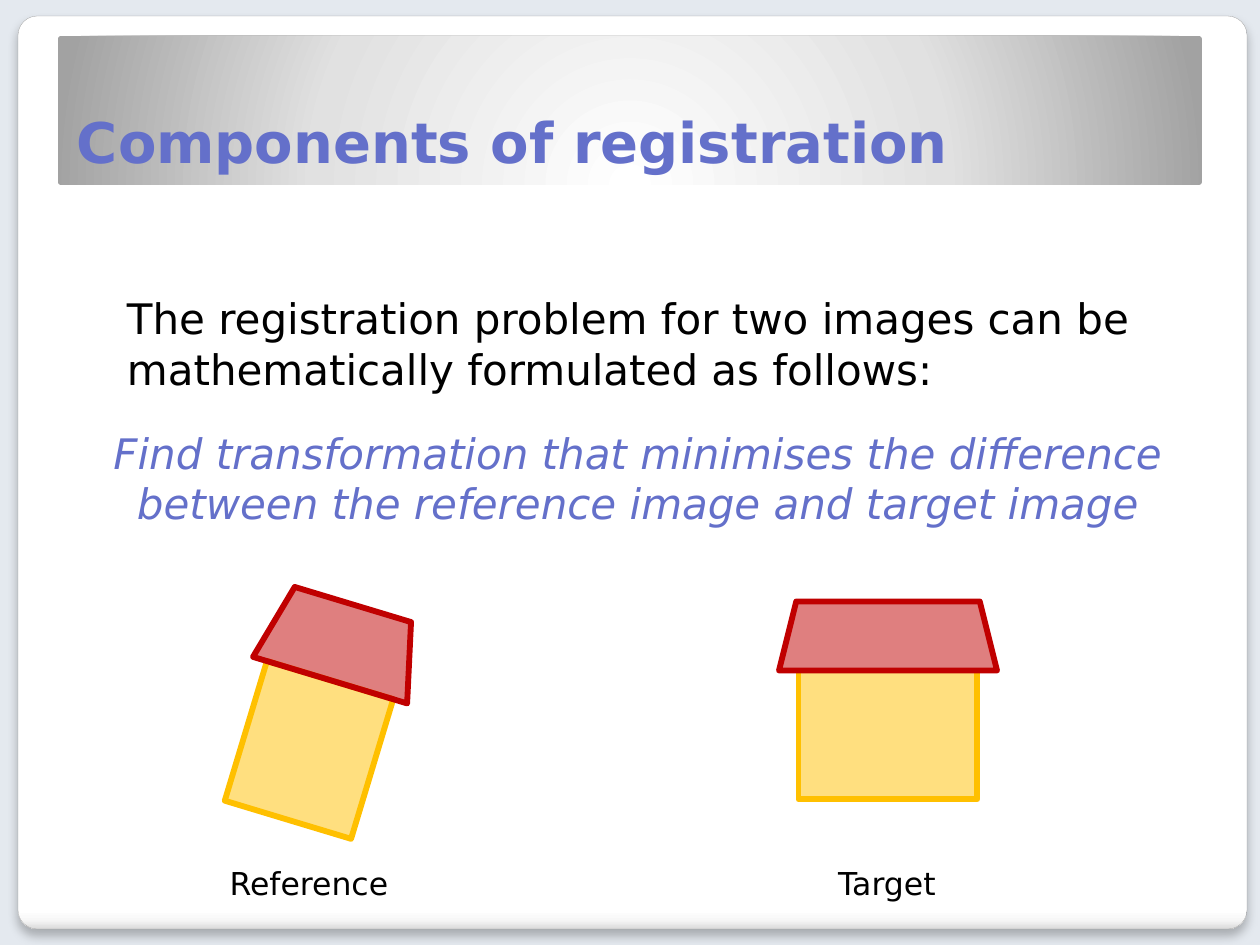
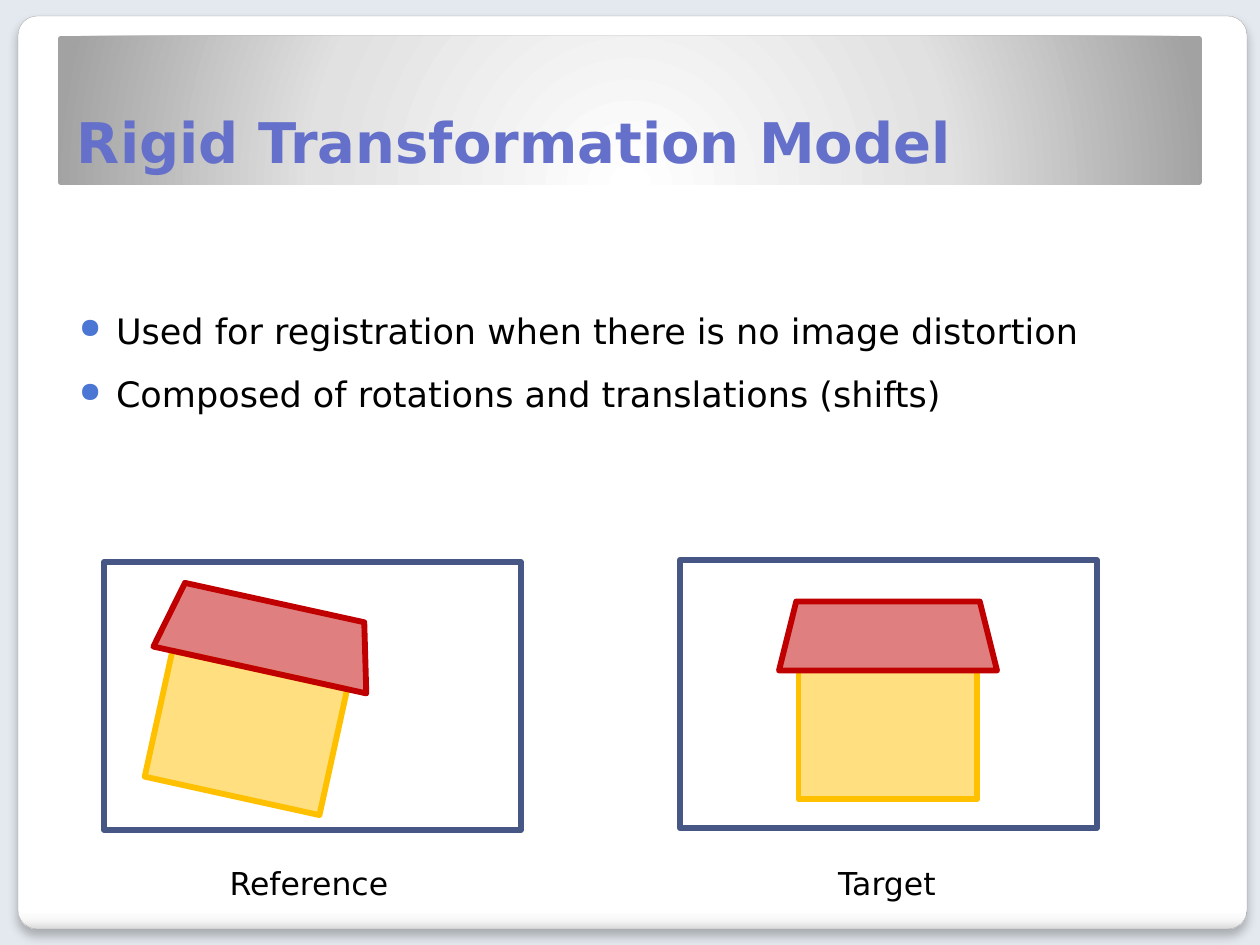
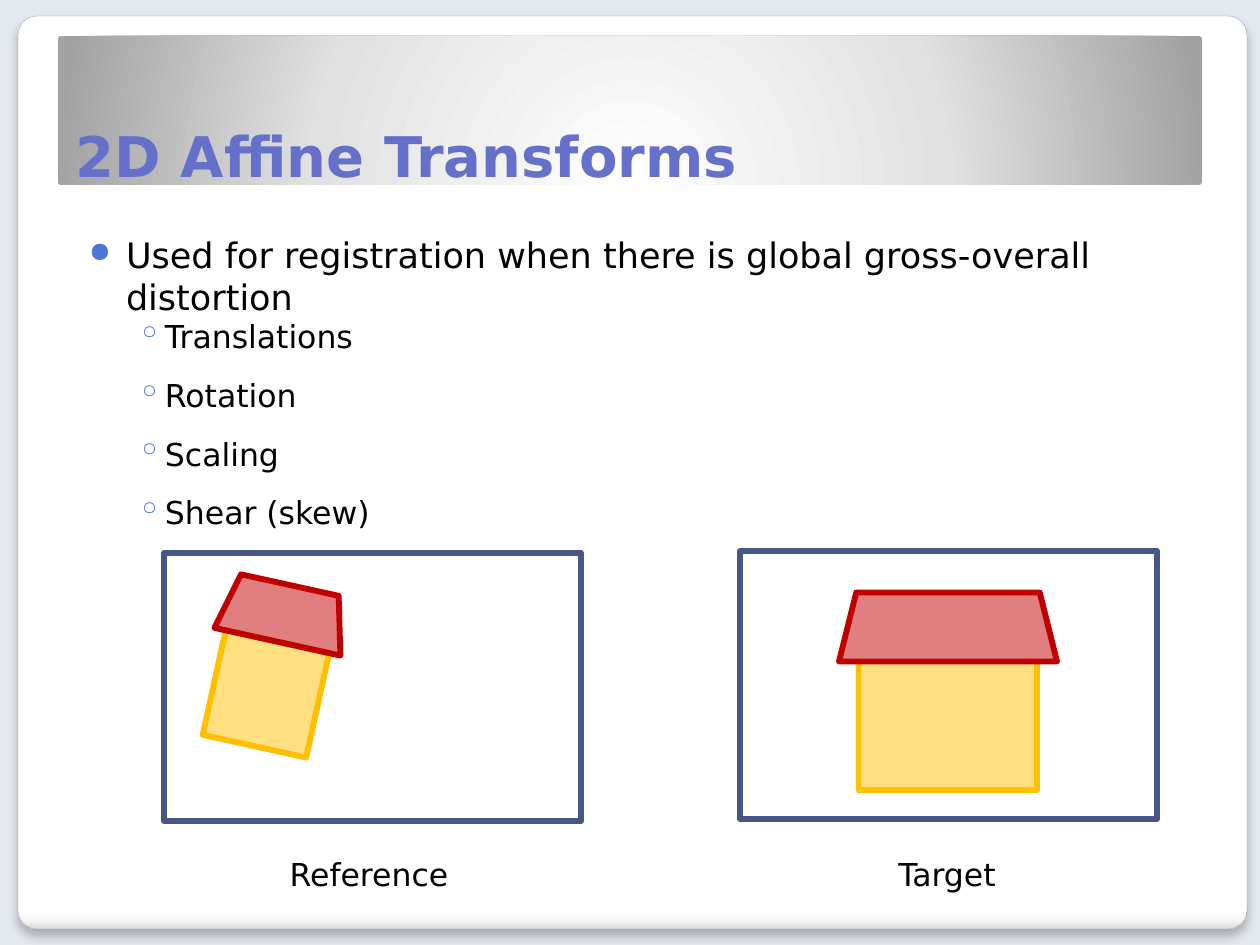
from dataclasses import dataclass
from math import cos, radians, sin

from pptx import Presentation
from pptx.dml.color import RGBColor
from pptx.enum.shapes import MSO_SHAPE as Shape
from pptx.enum.text import MSO_ANCHOR as Anchor, PP_ALIGN as Align
from pptx.oxml import parse_xml
from pptx.oxml.ns import nsdecls, qn
from pptx.util import Pt


@dataclass(frozen=True)
class Theme:
    font: str = "DejaVu Sans"
    background: str = "E4E9EF"
    page_edge: str = "A4A4A4"
    accent: str = "6470CA"
    text: str = "000000"
    bullet: str = "4C76D4"
    wall: str = "FFC000"
    roof: str = "C00000"
    frame: str = "475785"
    title_size: int = 32
    statement_size: int = 24
    bullet_size: int = 20
    small_size: int = 18
    outline: float = 3.35
    page_stops: tuple = ((0, "FFFFFF"), (98, "FFFFFF"), (99, "F7F7F7"), (100, "DADADA"))
    band_stops: tuple = ((0, "FFFFFF"), (55, "E1E1E1"), (100, "A2A2A2"))


THEME = Theme()
EMU_PER_PX = 914400 / 126
PAGE = (18, 16, 1229, 913)
BAND = (58, 36, 1144, 149)
TITLE = (64, 36, 1128, 145)
CORNER = 0.021
BODY_INSETS = (25, 13, 13, 6)
TEXT_INSETS = (13, 6, 13, 6)

# Paragraph kinds: size, colour, italic, align, margin, indent, before, after, bullet, bullet %
STYLES = {
    "statement": (THEME.statement_size, THEME.text, False, Align.LEFT, 37, 0, 0, 0, None, 0),
    "goal": (THEME.statement_size, THEME.accent, True, Align.CENTER, 0, 0, 19, 0, None, 0),
    "point": (THEME.bullet_size, THEME.text, False, Align.LEFT, 37, -37, 12.5, 0, "●", 80),
    "detail": (THEME.small_size, THEME.text, False, Align.LEFT, 76, -28, 0, 12, "◦", 100),
}

# A house: centre of the walls, wall size, roof size, rotation in degrees
TARGET_HOUSE = ((888, 735), (179, 129), (218, 69), 0)
LABELS = (("Reference", 309), ("Target", 887))
LABEL_TOP, LABEL_WIDTH, LABEL_HEIGHT = 858, 210, 50
FRAMES = ((104, 562, 417, 268), (680, 560, 417, 268))

SLIDES = [
    {
        "title": "Components of registration",
        "title_place": TITLE,
        "body_place": (65, 280, 1134, 258),
        "body": [
            ("statement", "The registration problem for two images can be "
                          "mathematically formulated as follows:"),
            ("goal", "Find transformation that minimises the difference "
                     "between the reference image and target image"),
        ],
        "reference": ((309, 750), (132, 146), (161, 79), 16.8),
        "framed": False,
        "shift": (0, 0),
    },
    {
        "title": "Rigid Transformation Model",
        "title_place": TITLE,
        "body_place": (54, 296, 1166, 185),
        "body": [
            ("point", "Used for registration when there is no image distortion"),
            ("point", "Composed of rotations and translations (shifts)"),
        ],
        "reference": ((246, 733), (179, 129), (218, 69), 12.4),
        "framed": True,
        "shift": (0, 0),
    },
    {
        "title": "2D Affine Transforms",
        "title_place": (63, 37, 864, 158),
        "body_place": (64, 220, 1063, 322),
        "body": [
            ("point", "Used for registration when there is global gross-overall distortion"),
            ("detail", "Translations"),
            ("detail", "Rotation"),
            ("detail", "Scaling"),
            ("detail", "Shear (skew)"),
        ],
        "reference": ((206, 703), (106, 107), (129, 58), 12.4),
        "framed": True,
        "shift": (60, -9),
    },
]


def px(length):
    return round(length * EMU_PER_PX)


def rgb(value):
    return RGBColor.from_string(value)


def add_box(shapes, kind, place, line=None, width=THEME.outline):
    box = shapes.add_shape(kind, *map(px, place))
    box.shadow.inherit = False
    box.fill.background()
    if line:
        box.line.color.rgb = rgb(line)
        box.line.width = Pt(width)
    else:
        box.line.fill.background()
    return box


def set_gradient(box, stops, direction):
    """Replace the fill by a gradient; direction is its a:lin or a:path element."""
    stop_xml = "".join(
        f'<a:gs pos="{position * 1000}"><a:srgbClr val="{color}"/></a:gs>'
        for position, color in stops)
    gradient = parse_xml(f'<a:gradFill {nsdecls("a")} rotWithShape="1">'
                         f"<a:gsLst>{stop_xml}</a:gsLst>{direction}</a:gradFill>")
    properties = box._element.spPr
    properties.replace(properties.find(qn("a:noFill")), gradient)


def add_backdrop(slide):
    page = add_box(slide.shapes, Shape.ROUNDED_RECTANGLE, PAGE, THEME.page_edge, 0.16)
    set_gradient(page, THEME.page_stops, '<a:lin ang="5400000" scaled="0"/>')
    page._element.spPr.find(qn("a:effectLst")).append(parse_xml(
        f'<a:outerShdw {nsdecls("a")} blurRad="{Pt(6)}" dist="{Pt(4)}" dir="5400000" '
        'rotWithShape="0"><a:srgbClr val="000000"><a:alpha val="25000"/></a:srgbClr>'
        "</a:outerShdw>"))
    band = add_box(slide.shapes, Shape.ROUNDED_RECTANGLE, BAND)
    set_gradient(band, THEME.band_stops,
                 '<a:path path="circle"><a:fillToRect l="50000" t="175000" '
                 'r="50000" b="-75000"/></a:path>')
    for box in (page, band):
        box.adjustments[0] = CORNER


def add_text_frame(slide, place, insets=TEXT_INSETS):
    frame = slide.shapes.add_textbox(*map(px, place)).text_frame
    frame.word_wrap = True
    (frame.margin_left, frame.margin_top,
     frame.margin_right, frame.margin_bottom) = map(px, insets)
    return frame


def format_runs(para, size, color, bold=False, italic=False):
    for span in para.runs:
        font = span.font
        font.name, font.size = THEME.font, Pt(size)
        font.bold, font.italic = bold, italic
        font.color.rgb = rgb(color)


def add_title(slide, text, place):
    frame = add_text_frame(slide, place)
    frame.vertical_anchor = Anchor.BOTTOM
    frame.text = text
    format_runs(frame.paragraphs[0], THEME.title_size, THEME.accent, bold=True)


def add_bullet(para, character, percent):
    properties = para._p.get_or_add_pPr()
    for xml in (f'<a:buClr {nsdecls("a")}><a:srgbClr val="{THEME.bullet}"/></a:buClr>',
                f'<a:buSzPct {nsdecls("a")} val="{percent * 1000}"/>',
                f'<a:buChar {nsdecls("a")} char="{character}"/>'):
        properties.append(parse_xml(xml))


def add_body(slide, items, place):
    frame = add_text_frame(slide, place, BODY_INSETS)
    for index, (kind, text) in enumerate(items):
        (size, color, italic, align, margin, indent,
         before, after, bullet, percent) = STYLES[kind]
        para = frame.add_paragraph() if index else frame.paragraphs[0]
        para.text = text
        para.alignment = align
        para.space_before = Pt(before if index else 0)
        para.space_after = Pt(after)
        properties = para._p.get_or_add_pPr()
        properties.set("marL", str(px(margin)))
        properties.set("indent", str(px(indent)))
        if bullet:
            add_bullet(para, bullet, percent)
        format_runs(para, size, color, italic=italic)


def add_house(slide, center, wall_size, roof_size, angle, shift):
    """Draw walls with a roof on top, turned together about the walls' centre."""
    center_x, center_y = center[0] + shift[0], center[1] + shift[1]
    rise = (wall_size[1] + roof_size[1]) / 2
    turn = radians(angle)
    parts = (
        (Shape.RECTANGLE, wall_size, 0, THEME.wall),
        (Shape.TRAPEZOID, roof_size, rise, THEME.roof),
    )
    house = slide.shapes.add_group_shape()
    for kind, (width, height), distance, color in parts:
        left = center_x + distance * sin(turn) - width / 2
        top = center_y - distance * cos(turn) - height / 2
        box = add_box(house.shapes, kind, (left, top, width, height), color)
        box.rotation = angle
        box.fill.solid()
        box.fill.fore_color.rgb = rgb(color)
        fill_color = box._element.spPr.find(qn("a:solidFill"))[0]
        fill_color.append(parse_xml(f'<a:alpha {nsdecls("a")} val="50000"/>'))


def add_scene(slide, reference, framed, shift):
    for house in (reference, TARGET_HOUSE):
        add_house(slide, *house, shift)
    shift_x, shift_y = shift
    for text, center in LABELS:
        frame = add_text_frame(slide, (center + shift_x - LABEL_WIDTH / 2,
                                       LABEL_TOP + shift_y, LABEL_WIDTH, LABEL_HEIGHT))
        frame.text = text
        para = frame.paragraphs[0]
        para.alignment = Align.CENTER
        format_runs(para, THEME.small_size, THEME.text)
    if framed:
        for left, top, width, height in FRAMES:
            add_box(slide.shapes, Shape.RECTANGLE,
                    (left + shift_x, top + shift_y, width, height), THEME.frame)


def main():
    deck = Presentation()
    deck.slide_width, deck.slide_height = px(1260), px(945)
    backdrop = deck.slide_master.background.fill
    backdrop.solid()
    backdrop.fore_color.rgb = rgb(THEME.background)
    for content in SLIDES:
        slide = deck.slides.add_slide(deck.slide_layouts[6])
        add_backdrop(slide)
        add_title(slide, content["title"], content["title_place"])
        add_body(slide, content["body"], content["body_place"])
        add_scene(slide, content["reference"], content["framed"], content["shift"])
    deck.save("out.pptx")


if __name__ == "__main__":
    main()
